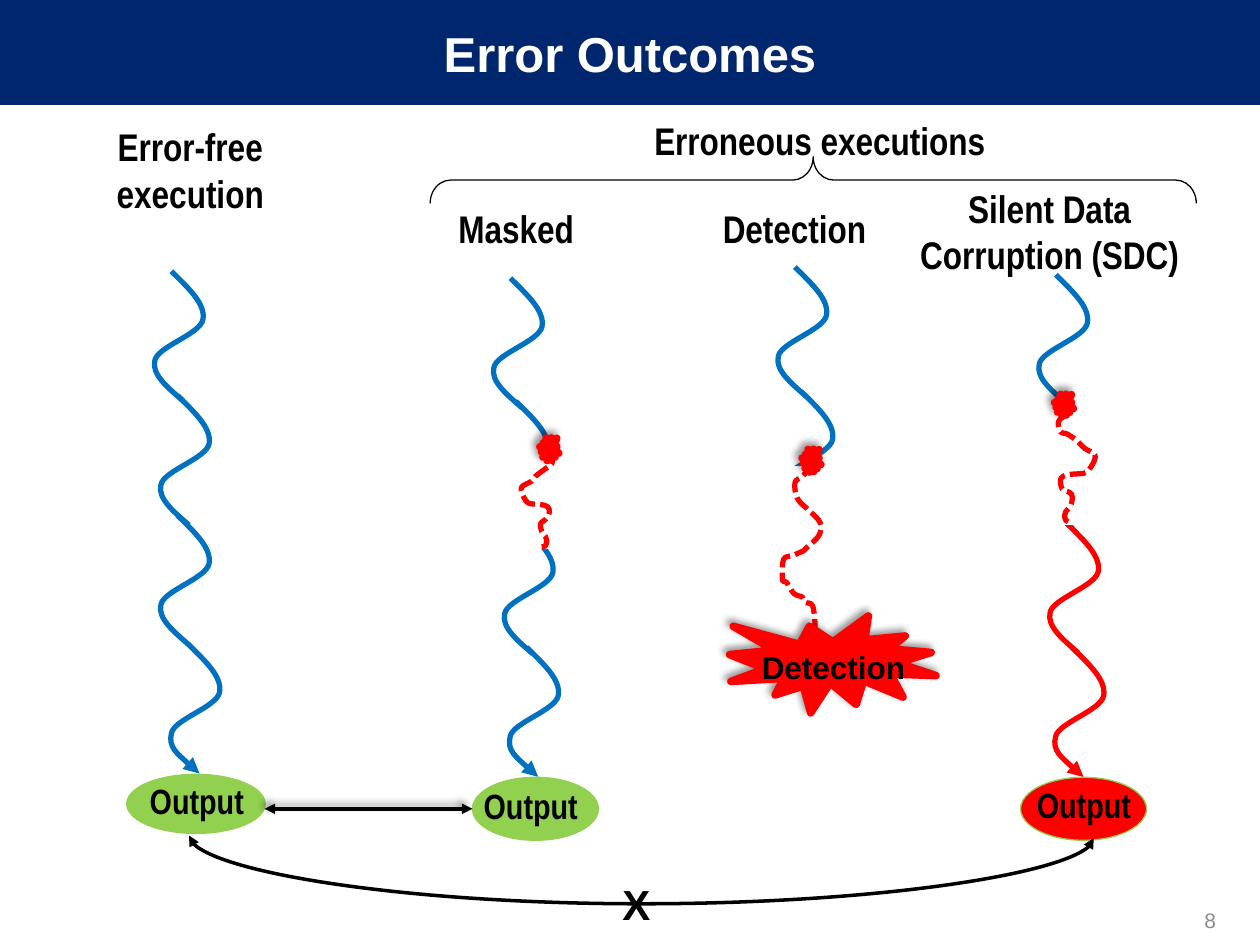
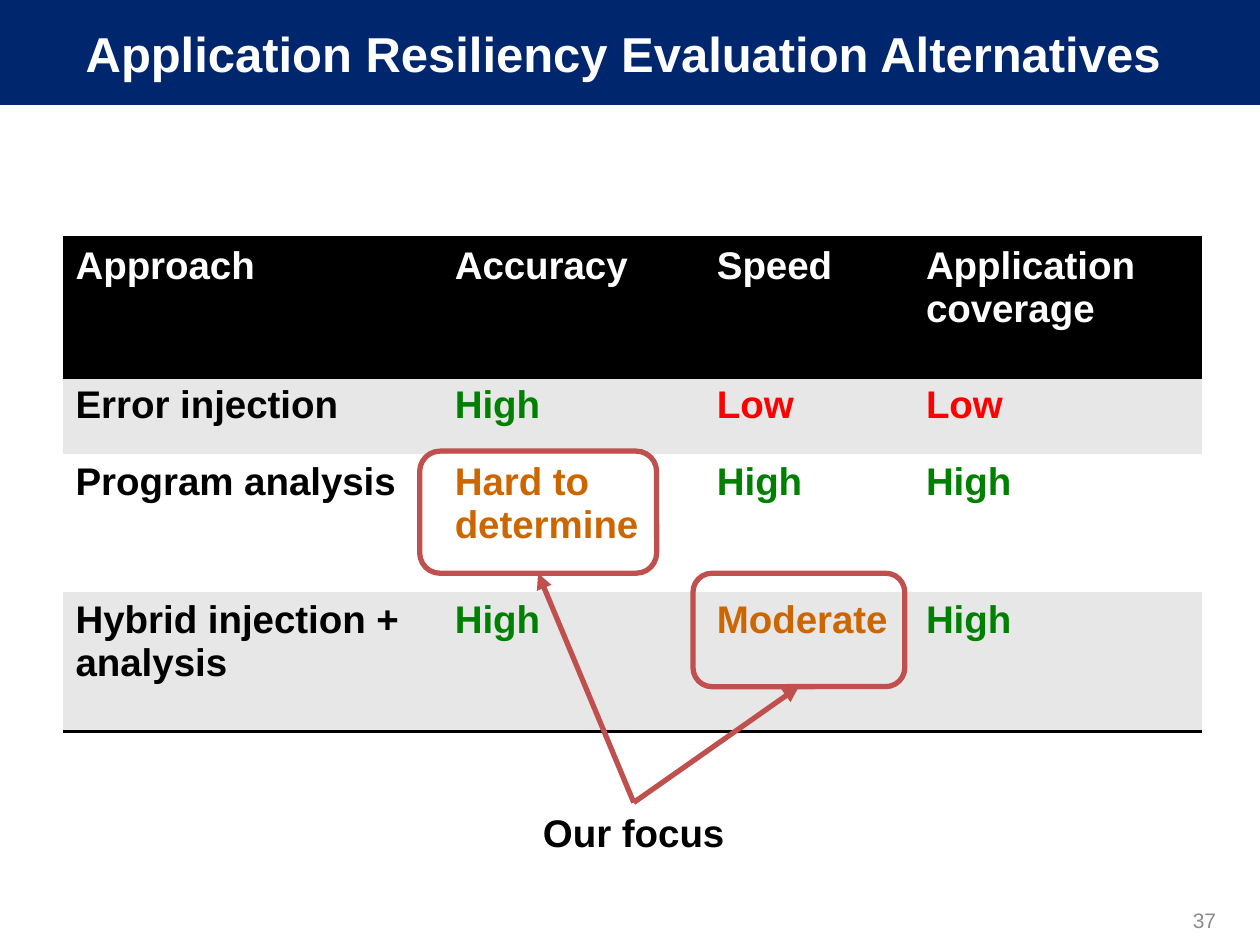
from dataclasses import dataclass

import pptx
import pptx.dml.color
import pptx.enum.dml
import pptx.enum.shapes
import pptx.enum.text
import pptx.oxml
import pptx.oxml.ns
import pptx.util
from lxml import etree

Pt = pptx.util.Pt
qn = pptx.oxml.ns.qn
Shapes = pptx.enum.shapes.MSO_SHAPE
Connectors = pptx.enum.shapes.MSO_CONNECTOR
Align = pptx.enum.text.PP_ALIGN
Anchor = pptx.enum.text.MSO_ANCHOR

NAVY, WHITE, BLACK, GRAY = "00266E", "FFFFFF", "000000", "8C8C8C"
BLUE, RED, LIME = "0070C0", "FF0000", "92D050"
GREEN, ORANGE, BRICK, STRIPE = "008000", "CC6600", "C0504D", "E7E7E7"
SANS, NARROW = "Arial", "Arial Narrow"
NO_STYLE_NO_GRID = "{2D5ABB26-0587-4C30-8999-92F81FD0307C}"

Point = tuple[float, float]
Box = tuple[float, float, float, float]

# One swing of an execution thread, as Bezier points relative to its start
WAVE: list[Point] = [(0, 0), (9.5, 9.5), (19.5, 18.5), (18, 27.5), (16.5, 36),
                     (-8, 43), (-9.5, 51), (-11.5, 59), (-2, 66.5), (6.5, 74)]


@dataclass(frozen=True)
class Label:
    text: str
    box: Box
    size: float = 22
    font: str = NARROW
    color: str = BLACK
    bold: bool = True
    align: Align = Align.CENTER
    anchor: Anchor = Anchor.TOP
    wrap: bool = False


@dataclass(frozen=True)
class ErrorEvent:
    """Gap in the thread, the burst where the error strikes, and its trail."""
    gap: Box
    burst: Box
    trail: list[Point]


@dataclass(frozen=True)
class Execution:
    heading: Label
    wave_starts: list[Point]
    wave_colors: list[str]
    error: ErrorEvent | None = None
    output: Box | None = None
    output_label: Box | None = None
    output_fill: str = LIME


def rgb(color: str) -> pptx.dml.color.RGBColor:
    return pptx.dml.color.RGBColor.from_string(color)


def points(values) -> list[int]:
    return [Pt(value) for value in values]


def spaced_starts(start: Point, step: Point, count: int) -> list[Point]:
    return [(start[0] + i * step[0], start[1] + i * step[1]) for i in range(count)]


def add_label(slide, label: Label):
    shape = slide.shapes.add_textbox(*points(label.box))
    frame = shape.text_frame
    frame.word_wrap = label.wrap
    frame.vertical_anchor = label.anchor
    frame.text = label.text
    for paragraph in frame.paragraphs:
        paragraph.alignment = label.align
        style_font(paragraph.font, label.size, label.font, label.color, label.bold)
    return shape


def style_font(font, size: float, name: str, color: str, bold: bool) -> None:
    font.size, font.name, font.bold = Pt(size), name, bold
    font.color.rgb = rgb(color)


def add_shape(slide, kind, box: Box, fill: str | None = None, line: str | None = None,
              width: float = 0.75, rotation: float = 0):
    shape = slide.shapes.add_shape(kind, *points(box))
    shape.rotation = rotation
    style_shape(shape, fill, line, width)
    return shape


def style_shape(shape, fill: str | None, line: str | None, width: float) -> None:
    shape.shadow.inherit = False
    if fill:
        shape.fill.solid()
        shape.fill.fore_color.rgb = rgb(fill)
    else:
        shape.fill.background()
    if line:
        shape.line.color.rgb = rgb(line)
        shape.line.width = Pt(width)
    else:
        shape.line.fill.background()


def add_arrowheads(shape, *ends: str) -> None:
    outline = shape._element.spPr.find(qn("a:ln"))
    for end in ends:
        etree.SubElement(outline, qn(f"a:{end}"), type="triangle")


def add_glow_shadow(shape) -> None:
    effects = shape._element.spPr.find(qn("a:effectLst"))
    shadow = etree.SubElement(effects, qn("a:outerShdw"), blurRad=str(Pt(4)),
                              dist=str(Pt(3)), dir=str(225 * 60000))
    color = etree.SubElement(shadow, qn("a:srgbClr"), val=BLACK)
    etree.SubElement(color, qn("a:alpha"), val="40000")


def add_burst(slide, box: Box, rotation: float = 0) -> None:
    add_glow_shadow(add_shape(slide, Shapes.EXPLOSION1, box, RED, RED, 4.32, rotation))


def add_connector(slide, kind, start: Point, end: Point, color: str, width: float,
                  *ends: str):
    connector = slide.shapes.add_connector(kind, *points(start + end))
    connector.line.color.rgb = rgb(color)
    connector.line.width = Pt(width)
    add_arrowheads(connector, *ends)
    etree.SubElement(connector._element.spPr, qn("a:effectLst"))
    return connector


def add_curve(slide, bezier: list[Point], color: str):
    """Draw a start point followed by triples of Bezier points."""
    vertices = [tuple(points(vertex)) for vertex in bezier]
    builder = slide.shapes.build_freeform(*vertices[0])
    builder.add_line_segments(vertices[1:], close=False)
    shape = builder.convert_to_shape()
    style_shape(shape, None, color, 3)
    outline = next(shape._element.iter(qn("a:path")))
    segments = outline.findall(qn("a:lnTo"))
    for first in range(0, len(segments), 3):
        cubic = etree.SubElement(outline, qn("a:cubicBezTo"))
        for segment in segments[first:first + 3]:
            cubic.append(segment[0])
            outline.remove(segment)
    return shape


def smooth_bezier(knots: list[Point]) -> list[Point]:
    """Bezier points of a smooth curve through the knots."""
    padded = [knots[0], *knots, knots[-1]]
    bezier = [knots[0]]
    for before, start, end, after in zip(padded, padded[1:], padded[2:], padded[3:]):
        bezier.append(tuple(s + (e - b) / 6 for b, s, e in zip(before, start, end)))
        bezier.append(tuple(e - (a - s) / 6 for s, e, a in zip(start, end, after)))
        bezier.append(end)
    return bezier


def add_base_slide(presentation, title: str, number: str):
    slide = presentation.slides.add_slide(presentation.slide_layouts[6])
    band = (0, 0, 720, 60)
    add_shape(slide, Shapes.RECTANGLE, band, NAVY)
    add_label(slide, Label(title, band, 28, SANS, WHITE, anchor=Anchor.MIDDLE, wrap=True))
    add_label(slide, Label(number, (534, 511, 168, 29), 12, SANS, GRAY, False,
                           Align.RIGHT, Anchor.MIDDLE, True))
    return slide


EXECUTIONS = [
    Execution(
        Label("Error-free\nexecution", (59, 67, 99.4, 60.5)),
        [(98, 155), (101.5, 226), (101.5, 294.5), (107.5, 368)], [BLUE] * 4,
        output=(72.4, 442.5, 79.2, 33.8), output_label=(78.5, 442, 90.7, 29.5)),
    Execution(
        Label("Masked", (254.2, 113.8, 81.4, 33.8)),
        spaced_starts((291.75, 159), (3.1, 70.3), 4), [BLUE] * 4,
        ErrorEvent((263.9, 256, 61.2, 57.6), (307.4, 251.3, 13, 10.8), [
            (311.8, 257.8), (315.4, 261.4), (315.4, 265), (311.8, 267.8), (306, 272.2),
            (303.8, 275), (298, 278.6), (299.5, 284.4), (301.7, 287.3), (304.6, 288),
            (311, 288.7), (313.9, 290.9), (313.2, 295.2), (310.3, 298), (308.9, 299.5),
            (309.6, 303.8), (311.8, 306.7), (312.5, 308.9), (311.8, 311.8),
            (309.6, 312.5)]),
        (270, 444.2, 72, 36), (269.3, 445, 90.7, 29.5)),
    Execution(
        Label("Detection", (405.4, 113.8, 97.2, 33.8)),
        spaced_starts((454.3, 152.6), (3.5, 71), 2), [BLUE] * 2,
        ErrorEvent((441.4, 266.4, 46, 69), (457.2, 257.8, 13, 10.8), [
            (465.1, 265), (458.6, 272.2), (454.3, 275.8), (455.8, 285.1), (463, 292.3),
            (468.7, 298.8), (468, 306), (461.5, 312.5), (459.4, 314.6), (452.9, 317.5),
            (447.8, 319.7), (447.1, 331.2), (449.3, 332.6), (453.6, 339.1),
            (458.6, 341.3), (460.1, 344.2), (464.4, 346.3), (465.8, 359.3),
            (464.4, 367.9)])),
    Execution(
        Label("Silent Data\nCorruption (SDC)", (517.7, 102.2, 164.2, 60.5)),
        spaced_starts((603.4, 157), (3.1, 71), 4), [BLUE, BLUE, RED, RED],
        ErrorEvent((590, 231.5, 37.5, 68.4), (601.9, 226, 12.2, 10.8), [
            (609.1, 236.9), (604.8, 241.2), (606.2, 247), (609.1, 247.7), (612.7, 249.8),
            (616.3, 252.7), (619.9, 256.3), (625.7, 260), (624.2, 265.7), (620.6, 270),
            (617, 270.7), (609.8, 271.4), (606.2, 273.6), (607, 279.4), (611.3, 281.5),
            (612.7, 283.7), (612, 288.7), (609.1, 292.3), (608.4, 294.5),
            (609.1, 297.4), (612, 298.8)]),
        (583.2, 444.2, 72, 36), (585.4, 444.2, 77, 29.5), RED),
]


def add_execution(slide, execution: Execution) -> None:
    for (left, top), color in zip(execution.wave_starts, execution.wave_colors):
        wave = add_curve(slide, [(left + x, top + y) for x, y in WAVE], color)
    if execution.output:
        add_arrowheads(wave, "tailEnd")
        add_shape(slide, Shapes.OVAL, execution.output, execution.output_fill, LIME)
        add_label(slide, Label("Output", execution.output_label, 20, align=Align.LEFT,
                               wrap=True))
    if execution.error:
        add_shape(slide, Shapes.RECTANGLE, execution.error.gap, WHITE)
        trail = add_curve(slide, smooth_bezier(execution.error.trail), RED)
        trail.line.dash_style = pptx.enum.dml.MSO_LINE.SQUARE_DOT
        add_burst(slide, execution.error.burst, 90)
    add_label(slide, execution.heading)


def build_outcomes(presentation) -> None:
    slide = add_base_slide(presentation, "Error Outcomes", "8")
    add_label(slide, Label("Erroneous executions", (365.8, 63.4, 205.2, 33.8)))
    brace = add_shape(slide, Shapes.RIGHT_BRACE, (451.4, -116, 26.6, 437.8), None, BLACK,
                      rotation=270)
    brace.adjustments[0] = 0.44
    for execution in EXECUTIONS:
        add_execution(slide, execution)
    add_burst(slide, (416.9, 352, 118, 55.4))
    add_label(slide, Label("Detection", (427.7, 366.5, 97.2, 27.4), 18, SANS))

    # Matching outputs, then the mismatch below them
    both = ("headEnd", "tailEnd")
    match = add_connector(slide, Connectors.STRAIGHT, (151.2, 462.2), (270, 462.2),
                          BLACK, 2, *both)
    add_glow_shadow(match)
    mismatch = add_connector(slide, Connectors.CURVE, (365.78, 736.6), (367.22, 219.6),
                             BLACK, 2, *both)
    properties = mismatch._element.spPr
    properties.find(qn("a:xfrm")).set("rot", str(90 * 60000))
    guides = next(properties.iter(qn("a:avLst")))
    etree.SubElement(guides, qn("a:gd"), name="adj1", fmla="val 2700000")
    add_label(slide, Label("X", (348.5, 498.2, 29.5, 41.8), 24, SANS))


COLUMN_WIDTHS = [216.7, 149.8, 119.5, 164.9]
ROW_HEIGHTS = [79.5, 43.9, 79.2, 79.2]
ROWS = [["Approach", "Accuracy", "Speed", "Application coverage"],
        ["Error injection", "High", "Low", "Low"],
        ["Program analysis", "Hard to determine", "High", "High"],
        ["Hybrid injection + analysis", "High", "Moderate", "High"]]
RATING_COLORS = {"High": GREEN, "Low": RED, "Hard to determine": ORANGE,
                 "Moderate": ORANGE}
ROW_FILLS = [BLACK, STRIPE, WHITE, STRIPE]
ROW_BORDERS = [("lnT", "lnB"), (), (), ("lnB",)]


def add_cell_border(cell, side: str) -> None:
    border = etree.Element(qn(f"a:{side}"), w=str(Pt(2)))
    fill = etree.SubElement(border, qn("a:solidFill"))
    etree.SubElement(fill, qn("a:srgbClr"), val=BLACK)
    properties = cell._tc.get_or_add_tcPr()
    properties.insert(len(properties) - 1, border)  # before the fill


def add_comparison_table(slide) -> None:
    frame = slide.shapes.add_table(len(ROWS), len(COLUMN_WIDTHS), *points(
        (36, 136, sum(COLUMN_WIDTHS), sum(ROW_HEIGHTS))))
    table = frame.table
    next(table._tbl.iter(qn("a:tableStyleId"))).text = NO_STYLE_NO_GRID
    for column, width in zip(table.columns, COLUMN_WIDTHS):
        column.width = Pt(width)
    for r, texts in enumerate(ROWS):
        table.rows[r].height = Pt(ROW_HEIGHTS[r])
        for c, text in enumerate(texts):
            cell = table.cell(r, c)
            cell.text = text
            color = WHITE if r == 0 else RATING_COLORS.get(text, BLACK)
            style_font(cell.text_frame.paragraphs[0].font, 22, SANS, color, True)
            cell.fill.solid()
            cell.fill.fore_color.rgb = rgb(ROW_FILLS[r])
            for side in ROW_BORDERS[r]:
                add_cell_border(cell, side)


def build_alternatives(presentation) -> None:
    slide = add_base_slide(presentation,
                           "Application Resiliency Evaluation Alternatives ", "37")
    add_comparison_table(slide)
    focus = add_label(slide, Label("Our focus", (302.4, 458.6, 119.5, 33.8), 22, SANS))
    for box in [(396, 327.6, 121, 64.8), (239.8, 257.8, 135.4, 69.8)]:
        frame = add_shape(slide, Shapes.ROUNDED_RECTANGLE, box, None, BRICK, 3)
        arrow = add_connector(slide, Connectors.STRAIGHT, (0, 0), (0, 0), BRICK, 3,
                              "tailEnd")
        arrow.begin_connect(focus, 0)
        arrow.end_connect(frame, 2)


def main() -> None:
    presentation = pptx.Presentation()
    presentation.slide_width, presentation.slide_height = Pt(720), Pt(540)
    build_outcomes(presentation)
    build_alternatives(presentation)
    presentation.save("out.pptx")


if __name__ == "__main__":
    main()
